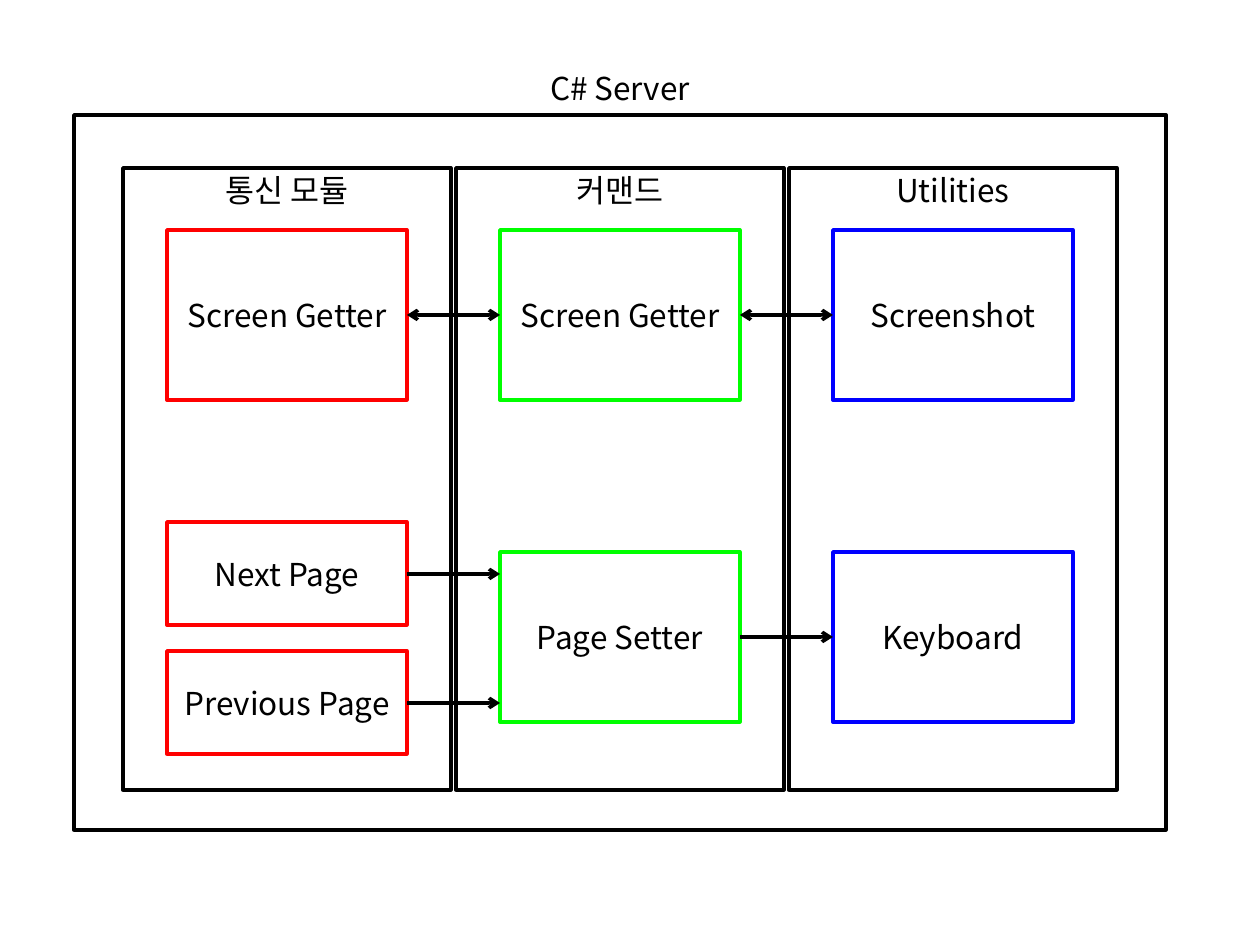
"""Build the C# server module diagram slide."""
from lxml.etree import SubElement
from pptx import Presentation
from pptx.dml.color import RGBColor
from pptx.enum.shapes import MSO_CONNECTOR as LINE, MSO_SHAPE as SHAPE
from pptx.enum.text import MSO_ANCHOR as ANCHOR, MSO_AUTO_SIZE as FIT, PP_ALIGN as ALIGN
from pptx.oxml.ns import qn
from pptx.util import Pt

PX = 914400 // 126
FONT = "Noto Sans CJK KR"
BLACK, WHITE = "000000", "FFFFFF"

TITLE = "C# Server"
SERVER = (74, 115, 1092, 715)
COLUMNS = [
    ("통신 모듈", "FF0000", [("Screen Getter", 230, 170), ("Next Page", 522, 103),
                         ("Previous Page", 651, 103)]),
    ("커맨드", "00FF00", [("Screen Getter", 230, 170), ("Page Setter", 552, 170)]),
    ("Utilities", "0000FF", [("Screenshot", 230, 170), ("Keyboard", 552, 170)]),
]
ARROWS = [(0, 315, True), (1, 315, True), (1, 637, False), (0, 574, False), (0, 703, False)]

CENTER, STEP = 620, 333
COLUMN_WIDTH, COLUMN_TOP, COLUMN_HEIGHT = 328, 168, 622
BOX_WIDTH = 240


def emu(*pixels):
    return [round(value * PX) for value in pixels]


def color(hex_code):
    return RGBColor.from_string(hex_code)


def column_center(index):
    return CENTER + (index - 1) * STEP


def write(shape, text, anchor):
    frame = shape.text_frame
    frame.text = text
    frame.word_wrap = True
    frame.auto_size = FIT.NONE
    frame.vertical_anchor = anchor
    frame.margin_left = frame.margin_right = 0
    frame.margin_top = frame.margin_bottom = 3 * PX
    paragraph = frame.paragraphs[0]
    paragraph.alignment = ALIGN.CENTER
    paragraph.font.size = Pt(18)
    paragraph.font.name = FONT
    paragraph.font.color.rgb = color(BLACK)
    defaults = paragraph._p.pPr.find(qn("a:defRPr"))
    SubElement(defaults, qn("a:ea"), typeface=FONT)


def add_box(shapes, place, outline, text="", anchor=ANCHOR.MIDDLE):
    box = shapes.add_shape(SHAPE.RECTANGLE, *emu(*place))
    box.shadow.inherit = False
    box.fill.solid()
    box.fill.fore_color.rgb = color(WHITE)
    box.line.color.rgb = color(outline)
    box.line.width = Pt(2)
    if text:
        write(box, text, anchor)


def add_arrow(shapes, gap, y, both_ways):
    start = column_center(gap) + BOX_WIDTH / 2
    end = column_center(gap + 1) - BOX_WIDTH / 2
    arrow = shapes.add_connector(LINE.STRAIGHT, *emu(start, y, end, y))
    arrow.line.color.rgb = color(BLACK)
    arrow.line.width = Pt(2)
    line = arrow.line._get_or_add_ln()
    for end_tag in ("a:headEnd", "a:tailEnd") if both_ways else ("a:tailEnd",):
        SubElement(line, qn(end_tag), type="arrow")
    SubElement(arrow._element.spPr, qn("a:effectLst"))


deck = Presentation()
deck.slide_width, deck.slide_height = emu(1260, 945)
slide = deck.slides.add_slide(deck.slide_layouts[5])
shapes = slide.shapes

title = shapes.title
title.left, title.top, title.width, title.height = emu(74, 63, 1092, 50)
write(title, TITLE, ANCHOR.MIDDLE)

add_box(shapes, SERVER, BLACK)
for index, (heading, outline, boxes) in enumerate(COLUMNS):
    center = column_center(index)
    column = (center - COLUMN_WIDTH / 2, COLUMN_TOP, COLUMN_WIDTH, COLUMN_HEIGHT)
    add_box(shapes, column, BLACK, heading, ANCHOR.TOP)
    for label, top, height in boxes:
        add_box(shapes, (center - BOX_WIDTH / 2, top, BOX_WIDTH, height), outline, label)
for gap, y, both_ways in ARROWS:
    add_arrow(shapes, gap, y, both_ways)

deck.save("out.pptx")
